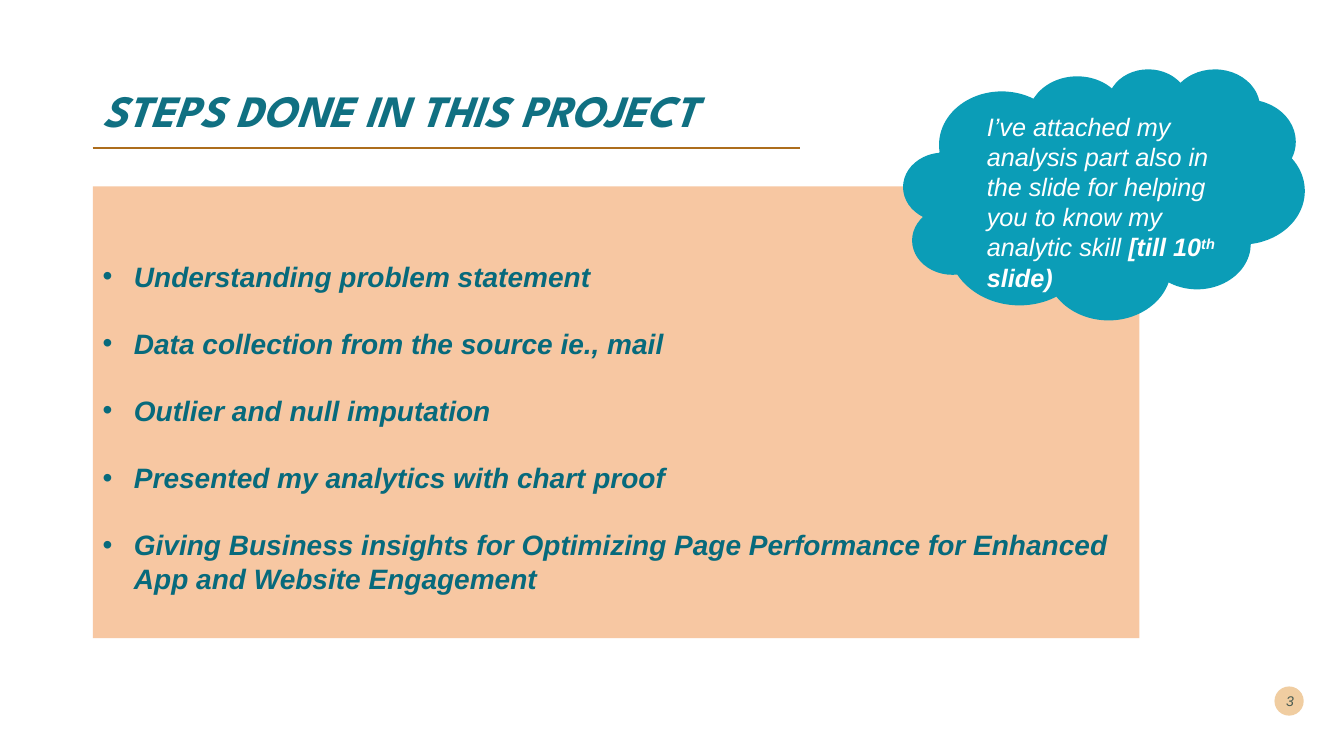
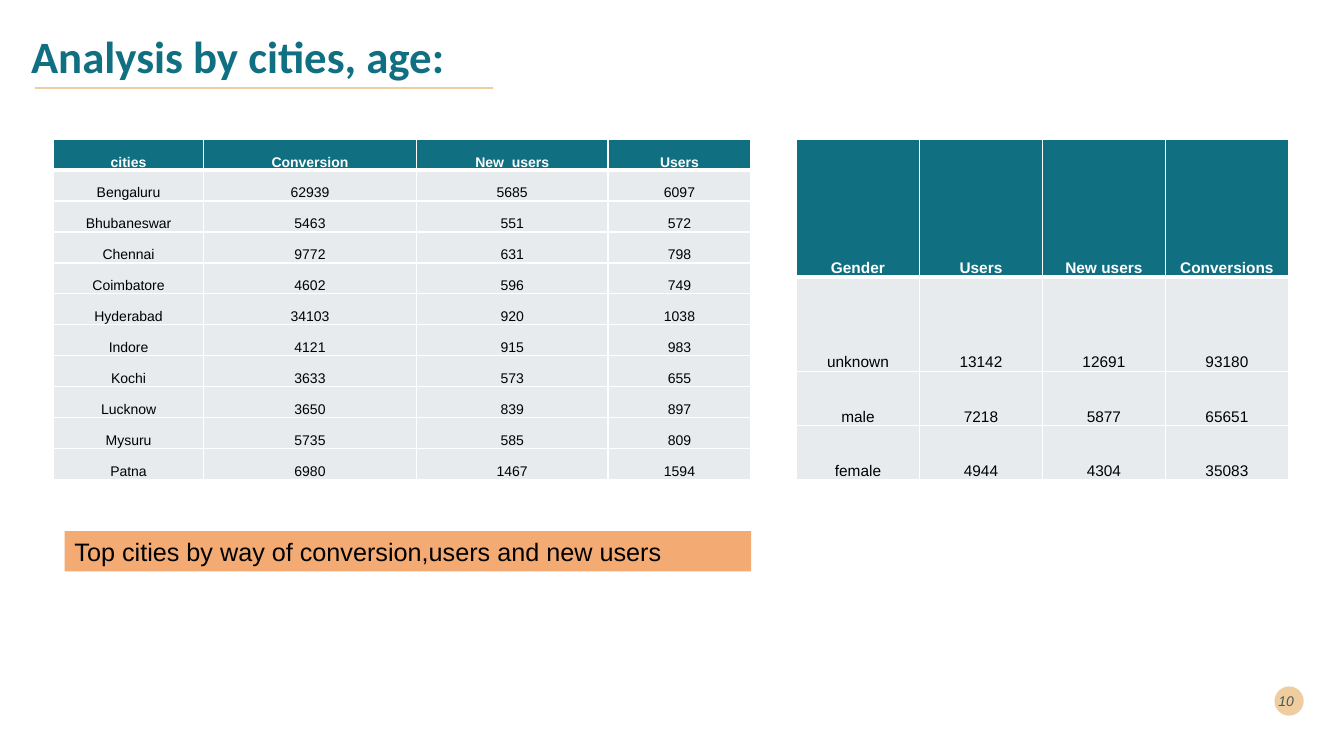
from dataclasses import dataclass

from lxml.etree import SubElement
from pptx import Presentation
from pptx.dml.color import RGBColor
from pptx.enum.shapes import MSO_CONNECTOR, MSO_SHAPE
from pptx.enum.text import MSO_ANCHOR, PP_ALIGN
from pptx.oxml import parse_xml
from pptx.oxml.ns import nsdecls, qn
from pptx.util import Inches, Pt


@dataclass(frozen=True)
class Theme:
    teal: str = "107082"
    step_teal: str = "076A7C"
    cloud: str = "0B9DB7"
    peach: str = "F7C7A2"
    orange: str = "F4AA73"
    sand: str = "F0CDA1"
    bronze: str = "AD6D1C"
    grey: str = "E7EBED"
    ink: str = "00292E"
    black: str = "000000"
    white: str = "FFFFFF"
    body_font: str = "Arial"
    title_size: int = 32
    step_size: int = 20
    note_size: int = 18
    page_size: int = 10
    rule_width: float = 1.5


THEME = Theme()
SLIDE_SIZE = (13.33, 7.5)

STEPS_TITLE = "STEPS DONE IN THIS PROJECT"
STEPS = [
    "Understanding problem statement",
    "Data collection from the source ie., mail",
    "Outlier and null imputation",
    "Presented my analytics with chart proof",
    "Giving Business insights for Optimizing Page Performance for Enhanced "
    "App and Website Engagement",
]
CLOUD_NOTE = [
    ("I’ve attached my analysis part also in the slide for helping you to "
     "know my analytic skill ", {}),
    ("[till 10", {"bold": True}),
    ("th", {"bold": True, "raised": True}),
    (" slide)", {"bold": True}),
]

ANALYSIS_TITLE = "Analysis by cities, age:"
CITIES_CAPTION = "Top cities by way of conversion,users and new users"
TABLE_TOP, TABLE_HEIGHT = 1.38, 3.38
CITIES = {
    "left": 0.53,
    "size": 10,
    "columns": [1.49, 2.11, 1.9, 1.42],
    "row_shares": [1] * 11,
    "rows": [
        ("cities", "Conversion", "New_users", "Users"),
        ("Bengaluru", 62939, 5685, 6097),
        ("Bhubaneswar", 5463, 551, 572),
        ("Chennai", 9772, 631, 798),
        ("Coimbatore", 4602, 596, 749),
        ("Hyderabad", 34103, 920, 1038),
        ("Indore", 4121, 915, 983),
        ("Kochi", 3633, 573, 655),
        ("Lucknow", 3650, 839, 897),
        ("Mysuru", 5735, 585, 809),
        ("Patna", 6980, 1467, 1594),
    ],
}
GENDERS = {
    "left": 7.9,
    "size": 11,
    "columns": [1.22] * 4,
    "row_shares": [1.37, 0.94, 0.54, 0.54],
    "rows": [
        ("Gender", "Users", "New users", "Conversions"),
        ("unknown", 13142, 12691, 93180),
        ("male", 7218, 5877, 65651),
        ("female", 4944, 4304, 35083),
    ],
}


def rgb(color):
    return RGBColor.from_string(color)


def add_run(paragraph, text, color, size, name=THEME.body_font,
            raised=False, **formats):
    run = paragraph.add_run()
    run.text = text
    run.font.color.rgb = rgb(color)
    formats = {"size": Pt(size), "name": name, **formats}
    for key, value in formats.items():
        setattr(run.font, key, value)
    if raised:
        run._r.get_or_add_rPr().set("baseline", "30000")
    return run


def add_text_area(slide, box, anchor=MSO_ANCHOR.TOP):
    frame = slide.shapes.add_textbox(*map(Inches, box)).text_frame
    frame.word_wrap = True
    frame.vertical_anchor = anchor
    return frame


def add_panel(slide, kind, box, color):
    panel = slide.shapes.add_shape(kind, *map(Inches, box))
    panel.shadow.inherit = False
    panel.fill.solid()
    panel.fill.fore_color.rgb = rgb(color)
    panel.line.fill.background()
    frame = panel.text_frame
    frame.word_wrap = True
    frame.vertical_anchor = MSO_ANCHOR.TOP
    frame.paragraphs[0].alignment = PP_ALIGN.LEFT
    return frame


def add_title(slide, text, box, **formats):
    paragraph = add_text_area(slide, box, MSO_ANCHOR.MIDDLE).paragraphs[0]
    paragraph.line_spacing = 0.9
    add_run(paragraph, text, THEME.teal, THEME.title_size, bold=True, **formats)


def add_rule(slide, left, right, y, color):
    rule = slide.shapes.add_connector(
        MSO_CONNECTOR.STRAIGHT, *map(Inches, (left, y, right, y)))
    rule.line.color.rgb = rgb(color)
    rule.line.width = Pt(THEME.rule_width)
    SubElement(rule._element.spPr, qn("a:effectLst"))


def add_page_number(slide, number):
    add_panel(slide, MSO_SHAPE.OVAL, (12.64, 6.81, 0.29, 0.29), THEME.sand)
    frame = add_text_area(slide, (12.54, 6.75, 0.39, 0.4), MSO_ANCHOR.MIDDLE)
    paragraph = frame.paragraphs[0]
    paragraph.alignment = PP_ALIGN.RIGHT
    run = add_run(paragraph, str(number), THEME.ink, THEME.page_size, italic=True)
    color = next(run._r.iter(qn("a:srgbClr")))
    SubElement(color, qn("a:alpha"), val="70000")


def add_bullet(paragraph, indent):
    properties = paragraph._p.get_or_add_pPr()
    properties.set("marL", str(Inches(indent)))
    properties.set("indent", str(-Inches(indent)))
    SubElement(properties, qn("a:buFont"), typeface=THEME.body_font)
    SubElement(properties, qn("a:buChar"), char="•")


def set_borders(cell, widths):
    """Draw white edges; widths gives points for left, right, top, bottom."""
    properties = cell._tc.get_or_add_tcPr()
    for place, (side, width) in enumerate(zip("LRTB", widths)):
        properties.insert(place, parse_xml(
            f'<a:ln{side} {nsdecls("a")} w="{Pt(width)}"><a:solidFill>'
            f'<a:srgbClr val="{THEME.white}"/></a:solidFill></a:ln{side}>'))


def add_data_table(slide, data):
    rows, columns, shares = data["rows"], data["columns"], data["row_shares"]
    box = (data["left"], TABLE_TOP, sum(columns), TABLE_HEIGHT)
    table = slide.shapes.add_table(
        len(rows), len(columns), *map(Inches, box)).table
    table.horz_banding = False
    for column, width in zip(table.columns, columns):
        column.width = Inches(width)
    for row, share in zip(table.rows, shares):
        row.height = Inches(TABLE_HEIGHT * share / sum(shares))

    cell_formats = {
        "vertical_anchor": MSO_ANCHOR.BOTTOM,
        "margin_left": Inches(0.01),
        "margin_right": Inches(0.01),
        "margin_top": Inches(0.01),
        "margin_bottom": 0,
    }
    for r, values in enumerate(rows):
        header = r == 0
        for c, value in enumerate(values):
            cell = table.cell(r, c)
            for key, setting in cell_formats.items():
                setattr(cell, key, setting)
            cell.fill.solid()
            cell.fill.fore_color.rgb = rgb(THEME.teal if header else THEME.grey)
            set_borders(cell, (1, 1, 3 if r == 1 else 1, 3 if header else 1))
            paragraph = cell.text_frame.paragraphs[0]
            paragraph.alignment = PP_ALIGN.CENTER
            add_run(paragraph, str(value), THEME.white if header else THEME.black,
                    data["size"], bold=header)


def build_steps(slide):
    add_title(slide, STEPS_TITLE, (0.92, 0.4, 11.5, 1.45),
              name="League Spartan", italic=True)
    add_page_number(slide, 3)
    add_rule(slide, 0.92, 7.93, 1.47, THEME.bronze)

    steps = add_panel(slide, MSO_SHAPE.RECTANGLE,
                      (0.92, 1.85, 10.38, 4.48), THEME.peach)
    steps.margin_top = Inches(0.72)
    for i, step in enumerate(STEPS):
        paragraph = steps.add_paragraph() if i else steps.paragraphs[0]
        paragraph.alignment = PP_ALIGN.LEFT
        paragraph.space_after = Pt(24)
        add_bullet(paragraph, 0.31)
        add_run(paragraph, step, THEME.step_teal, THEME.step_size,
                bold=True, italic=True)

    add_panel(slide, MSO_SHAPE.CLOUD, (8.96, 0.68, 3.98, 2.49), THEME.cloud)
    note = add_text_area(slide, (9.69, 1.05, 2.73, 1.92)).paragraphs[0]
    for text, formats in CLOUD_NOTE:
        add_run(note, text, THEME.white, THEME.note_size, italic=True, **formats)


def build_analysis(slide):
    add_title(slide, ANALYSIS_TITLE, (0.21, 0.17, 12.12, 0.83), name="Calibri")
    add_page_number(slide, 10)
    add_rule(slide, 0.35, 4.89, 0.87, THEME.sand)
    for data in (CITIES, GENDERS):
        add_data_table(slide, data)
    caption = add_panel(slide, MSO_SHAPE.RECTANGLE,
                        (0.64, 5.27, 6.81, 0.4), THEME.orange)
    add_run(caption.paragraphs[0], CITIES_CAPTION, THEME.black, THEME.note_size)


def main():
    deck = Presentation()
    deck.slide_width, deck.slide_height = map(Inches, SLIDE_SIZE)
    blank = deck.slide_layouts[6]
    for build in (build_steps, build_analysis):
        build(deck.slides.add_slide(blank))
    deck.save("out.pptx")


if __name__ == "__main__":
    main()
